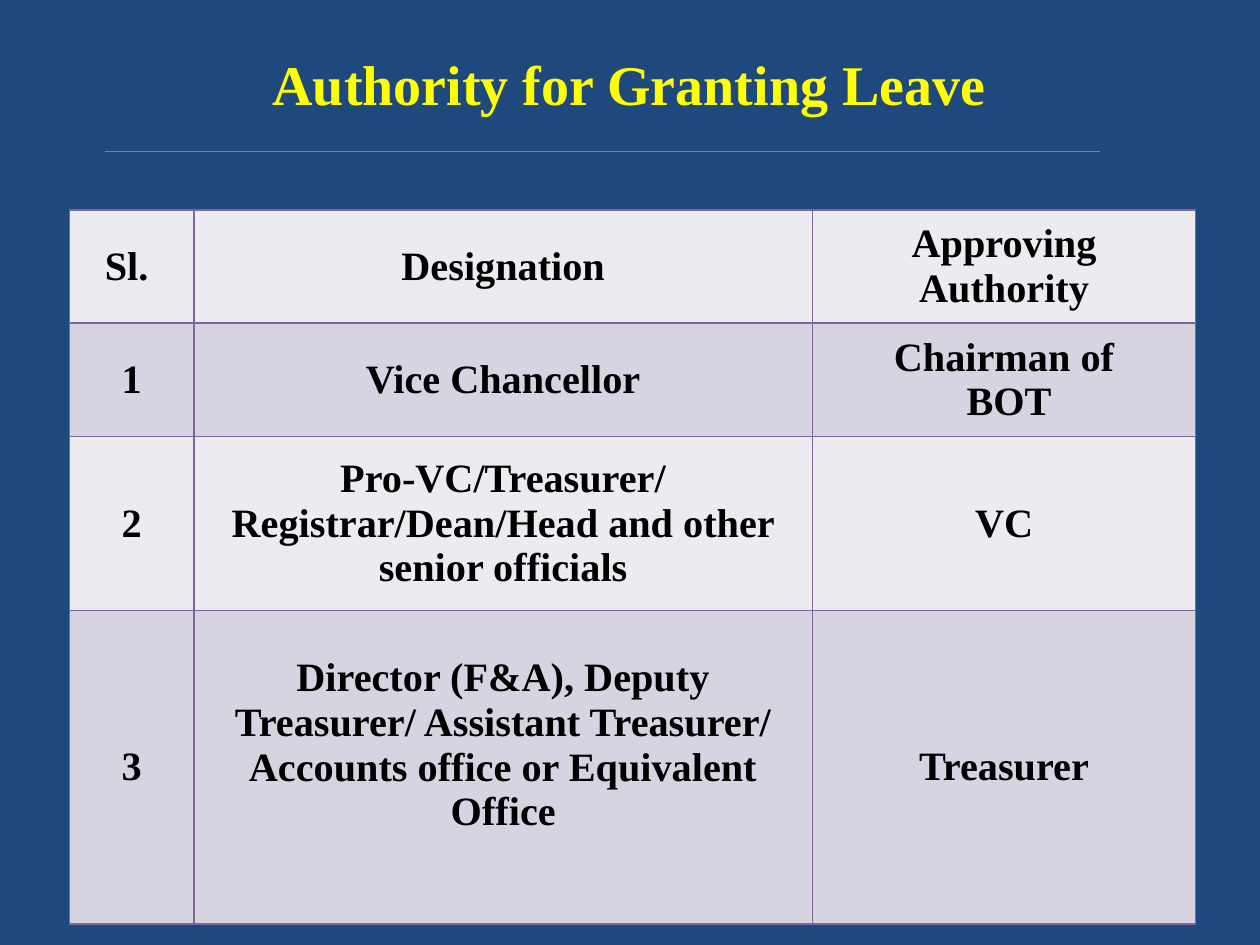
from dataclasses import dataclass

from lxml import etree
from pptx import Presentation
from pptx.dml.color import RGBColor
from pptx.enum.shapes import MSO_CONNECTOR
from pptx.enum.text import MSO_ANCHOR, PP_ALIGN
from pptx.oxml.ns import qn
from pptx.util import Inches, Pt

STRAIGHT = MSO_CONNECTOR.STRAIGHT
MIDDLE = MSO_ANCHOR.MIDDLE
CENTER = PP_ALIGN.CENTER

WIDTH, HEIGHT = 10, 7.5
COLUMNS = [0.99, 4.91, 3.04]
ROWS = [0.9, 0.9, 1.38, 2.49]
LEAVE_AUTHORITIES = [
    ["Sl. ", "Designation", "Approving Authority"],
    ["1", "Vice Chancellor", "Chairman of\n BOT"],
    ["2", "Pro-VC/Treasurer/ Registrar/Dean/Head and other senior officials", "VC"],
    ["3", "Director (F&A), Deputy Treasurer/ Assistant Treasurer/ "
          "Accounts office or Equivalent Office", "Treasurer"],
]


@dataclass(frozen=True)
class Theme:
    font: str = "Times New Roman"
    background: str = "1F497D"
    title: str = "FFFF00"
    text: str = "000000"
    rule: str = "77933C"
    border: str = "8064A2"
    bands: tuple = ("EDEAF0", "D8D3E0")
    title_size: int = 32
    table_size: int = 23


def rgb(value):
    return RGBColor.from_string(value)


def write(tf, text, *, font, size, color, bold=True, align=CENTER):
    """Fill a text frame, one paragraph per line of text."""
    tf.word_wrap = True
    for i, line in enumerate(text.split("\n")):
        p = tf.paragraphs[0] if i == 0 else tf.add_paragraph()
        p.alignment = align
        r = p.add_run()
        r.text = line
        r.font.name = font
        r.font.size = Pt(size)
        r.font.bold = bold
        r.font.color.rgb = rgb(color)


def add_borders(cell, color, points):
    tc_pr = cell._tc.get_or_add_tcPr()
    for side in ("lnL", "lnR", "lnT", "lnB"):
        ln = etree.SubElement(tc_pr, qn(f"a:{side}"), w=str(Pt(points)))
        fill = etree.SubElement(ln, qn("a:solidFill"))
        etree.SubElement(fill, qn("a:srgbClr"), val=color)


class SlideBuilder:
    """Places elements by shares of the slide's width and height."""

    def __init__(self, prs, theme):
        self.prs, self.theme = prs, theme
        self.s = prs.slides.add_slide(prs.slide_layouts[6])
        fill = self.s.background.fill
        fill.solid()
        fill.fore_color.rgb = rgb(theme.background)

    def x(self, share):
        return round(self.prs.slide_width * share)

    def y(self, share):
        return round(self.prs.slide_height * share)

    def rule(self, left, right, top):
        line = self.s.shapes.add_connector(
            STRAIGHT, self.x(left), self.y(top), self.x(right), self.y(top))
        line.line.color.rgb = rgb(self.theme.rule)
        line.line.width = Pt(0.75)
        etree.SubElement(line._element.spPr, qn("a:effectLst"))

    def title(self, text, left, top, width, height):
        sp = self.s.shapes.add_textbox(
            self.x(left), self.y(top), self.x(width), self.y(height))
        sp.text_frame.vertical_anchor = MIDDLE
        write(sp.text_frame, text, font=self.theme.font,
              size=self.theme.title_size, color=self.theme.title)

    def table(self, data, left, top, columns, rows):
        """Draw a banded table; columns and rows are lengths in inches."""
        frame = self.s.shapes.add_table(
            len(rows), len(columns), self.x(left), self.y(top),
            Inches(sum(columns)), Inches(sum(rows)))
        table = frame.table
        for column, width in zip(table.columns, columns):
            column.width = Inches(width)
        for i, (row, height) in enumerate(zip(table.rows, rows)):
            row.height = Inches(height)
            band = self.theme.bands[i % 2]
            for cell, text in zip(row.cells, data[i]):
                self.cell(cell, text, band)
        return table

    def cell(self, cell, text, band):
        add_borders(cell, self.theme.border, 1)
        cell.fill.solid()
        cell.fill.fore_color.rgb = rgb(band)
        cell.vertical_anchor = MIDDLE
        write(cell.text_frame, text, font=self.theme.font,
              size=self.theme.table_size, color=self.theme.text)


def main():
    prs = Presentation()
    prs.slide_width, prs.slide_height = Inches(WIDTH), Inches(HEIGHT)
    slide = SlideBuilder(prs, Theme())
    slide.rule(0.083, 0.873, 0.16)
    slide.title("Authority for Granting Leave", 0.108, 0.023, 0.783, 0.13)
    table = slide.table(LEAVE_AUTHORITIES, 0.055, 0.222, COLUMNS, ROWS)
    # The last designation sits half a line above the middle of its row.
    table.cell(3, 1).margin_bottom = Inches(0.4)
    prs.save("out.pptx")


if __name__ == "__main__":
    main()
